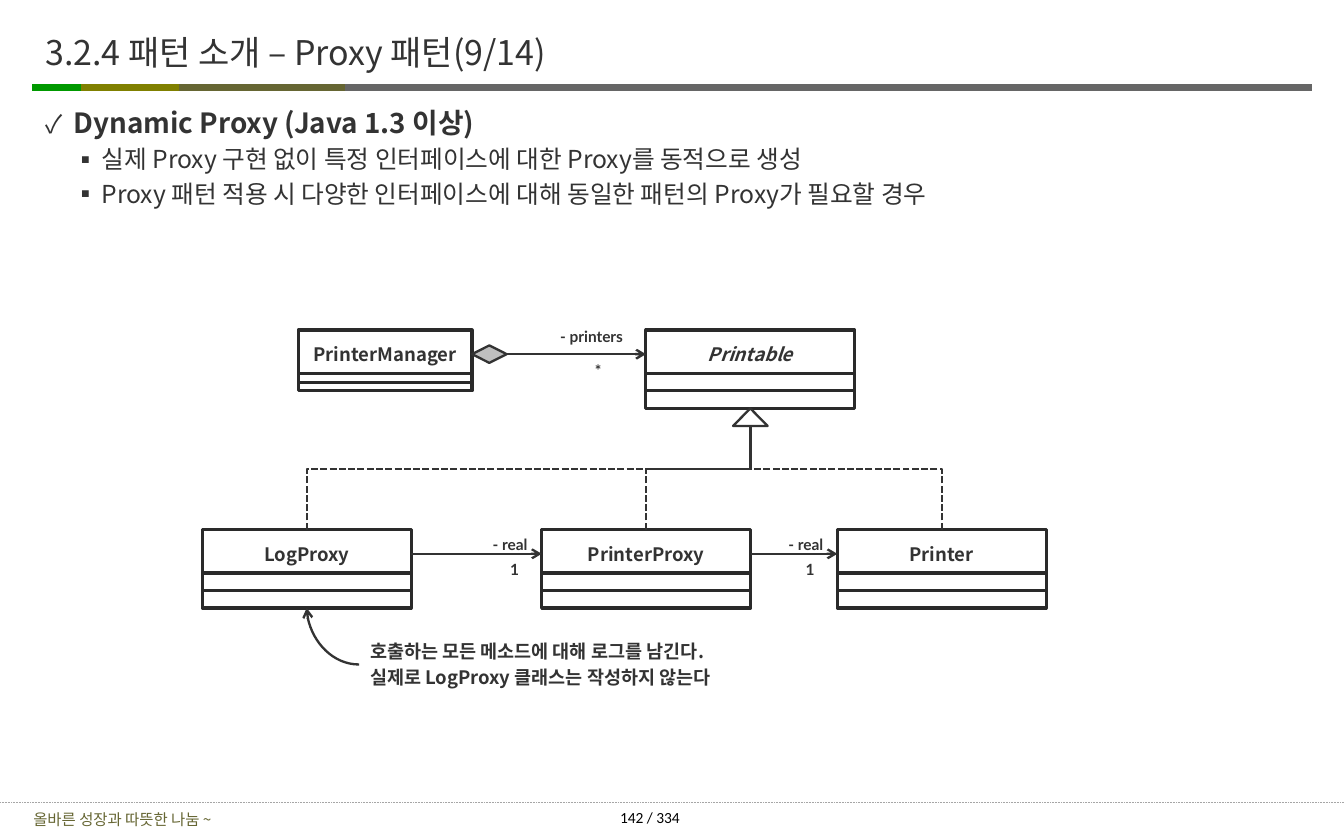
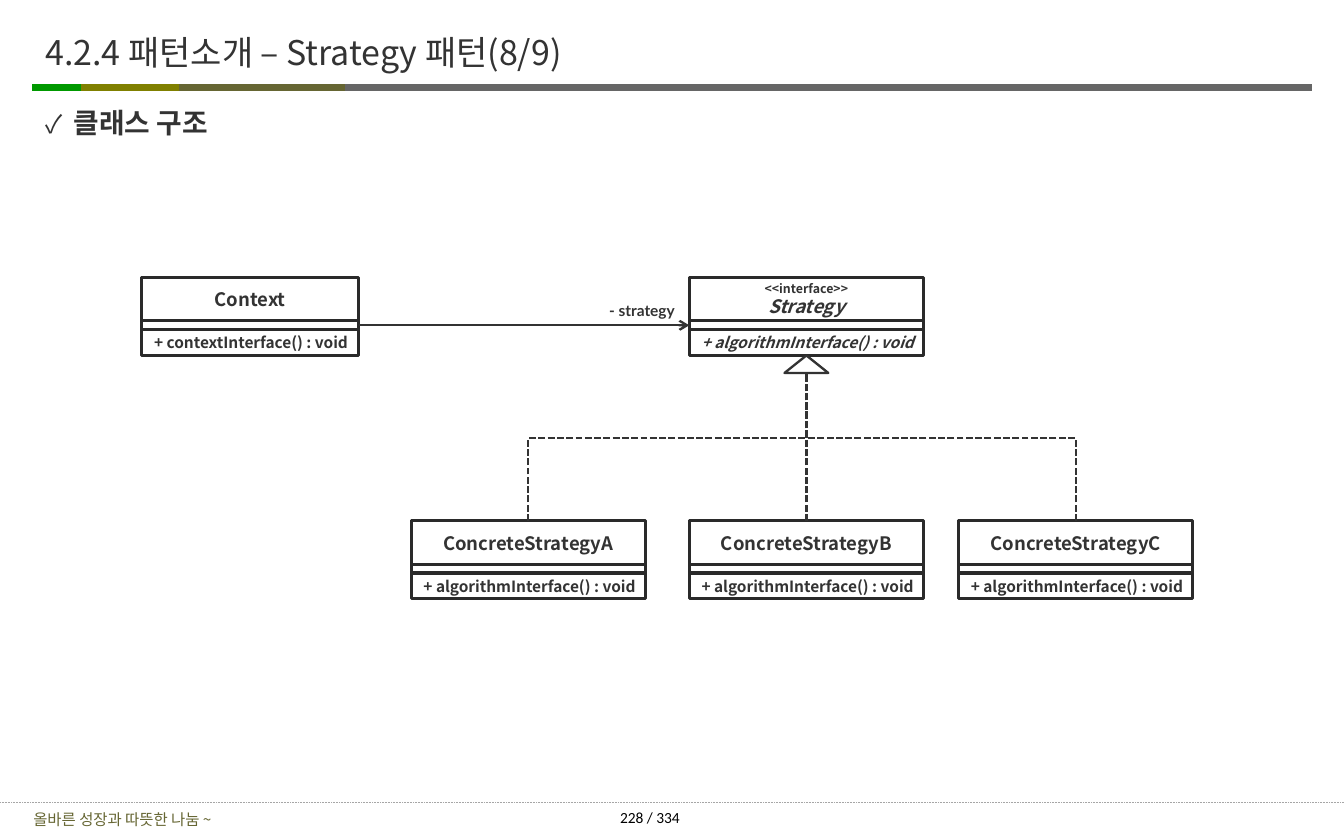
from dataclasses import dataclass
from lxml import etree
from pptx import Presentation
from pptx.dml.color import RGBColor
from pptx.enum.dml import MSO_LINE_DASH_STYLE
from pptx.enum.shapes import MSO_CONNECTOR_TYPE, MSO_SHAPE
from pptx.enum.text import MSO_ANCHOR, PP_ALIGN
from pptx.oxml.ns import qn
from pptx.util import Cm, Pt

STRAIGHT, ELBOW, CURVE = MSO_CONNECTOR_TYPE.STRAIGHT, MSO_CONNECTOR_TYPE.ELBOW, MSO_CONNECTOR_TYPE.CURVE
RECTANGLE, DIAMOND, TRIANGLE = MSO_SHAPE.RECTANGLE, MSO_SHAPE.DIAMOND, MSO_SHAPE.ISOSCELES_TRIANGLE
DASH, DOT = MSO_LINE_DASH_STYLE.SQUARE_DOT, MSO_LINE_DASH_STYLE.ROUND_DOT
LEFT, CENTER = PP_ALIGN.LEFT, PP_ALIGN.CENTER
TOP, MIDDLE = MSO_ANCHOR.TOP, MSO_ANCHOR.MIDDLE

WHITE = RGBColor(0xFF, 0xFF, 0xFF)
BLACK = RGBColor(0, 0, 0)
INK = RGBColor(0x33, 0x33, 0x33)
OUTLINE = RGBColor(0x2A, 0x2A, 0x2A)
GRAY = RGBColor(0x66, 0x66, 0x66)
PALE_GRAY = RGBColor(0xA6, 0xA6, 0xA6)
DIAMOND_GRAY = RGBColor(0xBF, 0xBF, 0xBF)
GREEN = RGBColor(0, 0x99, 0)
OLIVE = RGBColor(0x80, 0x80, 0)
DARK_OLIVE = RGBColor(0x66, 0x66, 0x33)

SANS, LABEL_FONT, NUMBER_FONT = "Noto Sans CJK KR", "Lato", "Calibri"
PAGE_WIDTH, PAGE_HEIGHT = 30.69, 19.05
PAGE_COUNT = 334
NAME_ROW = 0.99  # distance from the top of a class to its second row
MARK_HEIGHT = 0.4


@dataclass
class Box:
    left: float
    top: float
    width: float
    height: float

    @property
    def right(self):
        return self.left + self.width

    @property
    def bottom(self):
        return self.top + self.height

    @property
    def center(self):
        return self.left + self.width / 2


# Basic parts
def set_font(font, size, color=INK, name=SANS, bold=False, italic=False):
    font.size, font.name, font.bold, font.italic = Pt(size), name, bold, italic
    font.color.rgb = color
    etree.SubElement(font._element, qn("a:ea"), typeface=name)


def set_frame(frame, inset_x, inset_y, anchor, wrap):
    frame.margin_left = frame.margin_right = Cm(inset_x)
    frame.margin_top = frame.margin_bottom = Cm(inset_y)
    frame.vertical_anchor = anchor
    frame.word_wrap = wrap


def add_text(page, box, lines, size, align=LEFT, anchor=TOP, wrap=True, inset=0.25, **style):
    shape = page.shapes.add_textbox(Cm(box.left), Cm(box.top), Cm(box.width), Cm(box.height))
    frame = shape.text_frame
    set_frame(frame, inset, min(inset, 0.13), anchor, wrap)
    for index, line in enumerate(lines):
        para = frame.paragraphs[0] if index == 0 else frame.add_paragraph()
        para.text, para.alignment = line, align
        if index:
            para.space_before = Pt(0.2 * size)
        set_font(para.font, size, **style)


def add_shape(page, kind, box, fill=WHITE, line=OUTLINE, weight=2):
    shape = page.shapes.add_shape(kind, Cm(box.left), Cm(box.top), Cm(box.width), Cm(box.height))
    shape.shadow.inherit = False
    shape.fill.solid()
    shape.fill.fore_color.rgb = fill
    shape.line.color.rgb = line
    shape.line.width = Pt(weight)
    return shape


def add_line(page, start, end, kind=STRAIGHT, color=INK, weight=1.5, dash=None, arrow=False):
    line = page.shapes.add_connector(kind, *(Cm(value) for value in (*start, *end)))
    line.line.color.rgb = color
    line.line.width = Pt(weight)
    if dash:
        line.line.dash_style = dash
    properties = line._element.spPr
    if arrow:
        etree.SubElement(properties.find(qn("a:ln")), qn("a:tailEnd"), type="arrow")
    etree.SubElement(properties, qn("a:effectLst"))
    return properties


# Slide frame: title, colour band, footer
def add_frame(page, title, number):
    stops = [0.74, 1.85, 4.09, 7.87, 29.95]
    for start, end, color in zip(stops, stops[1:], (GREEN, OLIVE, DARK_OLIVE, GRAY)):
        add_line(page, (start, 2), (end, 2), color=color, weight=5)
    add_line(page, (0, 18.33), (PAGE_WIDTH, 18.33), color=PALE_GRAY, weight=0.5, dash=DOT)
    add_text(page, Box(0, 18.38, 5.59, 0.66), ["올바른 성장과 따뜻한 나눔 ~"], 10, CENTER, MIDDLE,
             color=DARK_OLIVE)
    add_text(page, Box(13.28, 18.33, 3.12, 0.69), [f"{number} / {PAGE_COUNT}"], 10, CENTER,
             color=BLACK, name=NUMBER_FONT)
    add_text(page, Box(0.94, 0.38, 25.4, 1.6), [title], 22, anchor=MIDDLE, inset=0.1)


# Bulleted text: a heading and its points
def add_bullet(para, char, level, percent):
    properties = para._p.get_or_add_pPr()
    properties.set("marL", str(Cm(0.64 * (level + 1))))
    properties.set("indent", str(-Cm(0.64)))
    color = etree.SubElement(properties, qn("a:buClr"))
    etree.SubElement(color, qn("a:srgbClr"), val=str(INK))
    etree.SubElement(properties, qn("a:buSzPct"), val=str(percent * 1000))
    etree.SubElement(properties, qn("a:buFont"), typeface=SANS)
    etree.SubElement(properties, qn("a:buChar"), char=char)


def add_outline(page, box, heading, points=()):
    shape = page.shapes.add_textbox(Cm(box.left), Cm(box.top), Cm(box.width), Cm(box.height))
    frame = shape.text_frame
    set_frame(frame, 0.1, 0.1, TOP, True)
    para = frame.paragraphs[0]
    para.text = heading
    add_bullet(para, "✓", 0, 90)
    set_font(para.font, 18, bold=True)
    for point in points:
        para = frame.add_paragraph()
        para.text, para.level, para.space_before = point, 1, Pt(3.2)
        add_bullet(para, "▪", 1, 100)
        set_font(para.font, 16)


# Class diagram parts
def add_class(page, left, top, width, name, rows, method="", name_height=NAME_ROW,
              stereotype="", abstract=False):
    """Draws a name row, then the attribute and method rows; returns the whole box."""
    def fill_row(row, align):
        set_frame(row.text_frame, 0.28, 0.13, MIDDLE, False)
        para = row.text_frame.paragraphs[0]
        para.alignment = align
        return para

    shape = add_shape(page, RECTANGLE, Box(left, top, width, name_height))
    para = fill_row(shape, CENTER)
    if stereotype:
        span = para.add_run()
        span.text = stereotype
        set_font(span.font, 8, bold=True)
        para.add_line_break()
        span = para.add_run()
        span.text = name
        set_font(span.font, 12, bold=True, italic=abstract)
    else:
        para.text = name
        set_font(para.font, 12, bold=True, italic=abstract)
    bottom = top + NAME_ROW
    for height in rows:
        shape = add_shape(page, RECTANGLE, Box(left, bottom, width, height))
        bottom += height
    if method:
        para = fill_row(shape, LEFT)
        para.text = method
        set_font(para.font, 10, bold=True, italic=abstract)
    return Box(left, top, width, bottom - top)


def add_inheritance(page, parent, children, mark_width):
    for child in children:
        # An elbow that leaves vertically is a horizontal one turned by 90 degrees
        x, y = (child.center + parent.center) / 2, (child.top + parent.bottom) / 2
        across, down = child.center - x, child.top - y
        properties = add_line(page, (x + down, y - across), (x - down, y + across), ELBOW, dash=DASH)
        properties.find(qn("a:xfrm")).set("rot", str(90 * 60000))
    mark = Box(parent.center - mark_width / 2, parent.bottom, mark_width, MARK_HEIGHT)
    add_shape(page, TRIANGLE, mark, line=INK, weight=1.5)


def add_label(page, center, top, text):
    add_text(page, Box(center - 1.1, top, 2.2, 0.69), [text], 10, CENTER, wrap=False,
             name=LABEL_FONT, bold=True)


def add_proxy_diagram(page, left, top):
    def proxy_class(x, y, name, width=4.77, row=0.4, **style):
        return add_class(page, left + x, top + y, width, name, (row, row), name_height=1.11, **style)

    printable = proxy_class(10.13, 0, "Printable", abstract=True)
    manager = proxy_class(2.19, 0, "PrinterManager", width=3.97, row=0.2)
    children = [proxy_class(x, 4.56, name)
                for x, name in ((0, "LogProxy"), (7.75, "PrinterProxy"), (14.5, "Printer"))]
    add_inheritance(page, printable, children, 0.79)

    # Associations run at the middle of the name row
    links = [(manager, printable, "- printers", "*", 0.75, 1.24, 1.09),
             *((source, target, "- real", "1", 0.56, 0.72, 0.62)
               for source, target in zip(children, children[1:]))]
    for source, target, role, count, rise, role_gap, count_gap in links:
        y = source.top + 0.55
        add_line(page, (source.right, y), (target.left, y), arrow=True)
        add_label(page, target.left - role_gap, y - rise, role)
        add_label(page, target.left - count_gap, y + 0.02, count)
    add_shape(page, DIAMOND, Box(manager.right, top + 0.35, 0.79, MARK_HEIGHT),
              fill=DIAMOND_GRAY, line=INK, weight=1.5)

    # Note on LogProxy
    note = Box(left + 3.58, top + 6.94, 8.33, 1.4)
    add_text(page, note, ["호출하는 모든 메소드에 대해 로그를 남긴다.", "실제로 LogProxy 클래스는 작성하지 않는다"],
             12, bold=True)
    log_proxy = children[0]
    properties = add_line(page, (note.left, note.top + 0.7), (log_proxy.center, log_proxy.bottom),
                          CURVE, arrow=True)
    properties.find(qn("a:prstGeom")).set("prst", "curvedConnector2")


def add_strategy_diagram(page, left, top):
    rows = (0.2, 0.59)
    method = "+ algorithmInterface() : void"
    context = add_class(page, left, top, 4.95, "Context", rows, "+ contextInterface() : void")
    strategy = add_class(page, left + 12.5, top, 5.35, "Strategy", rows, method,
                         stereotype="<<interface>>", abstract=True)
    children = [add_class(page, left + x, top + 5.56, 5.35, f"ConcreteStrategy{letter}", rows, method)
                for x, letter in ((6.15, "A"), (12.5, "B"), (18.65, "C"))]
    add_inheritance(page, strategy, children, 1)
    y = top + NAME_ROW + rows[0] / 2
    add_line(page, (context.right, y), (strategy.left, y), arrow=True)
    add_label(page, strategy.left - 1.08, y - 0.69, "- strategy")


def main():
    deck = Presentation()
    deck.slide_width, deck.slide_height = Cm(PAGE_WIDTH), Cm(PAGE_HEIGHT)
    blank = deck.slide_layouts[6]
    body = Box(0.94, 2.31, 29.21, 3.12)

    page = deck.slides.add_slide(blank)
    add_frame(page, "3.2.4 패턴 소개 – Proxy 패턴(9/14)", 142)
    add_outline(page, body, "Dynamic Proxy (Java 1.3 이상)", [
        "실제 Proxy 구현 없이 특정 인터페이스에 대한 Proxy를 동적으로 생성",
        "Proxy 패턴 적용 시 다양한 인터페이스에 대해 동일한 패턴의 Proxy가 필요할 경우",
    ])
    add_proxy_diagram(page, 4.62, 7.54)

    page = deck.slides.add_slide(blank)
    add_frame(page, "4.2.4 패턴소개 – Strategy 패턴(8/9)", 228)
    add_outline(page, body, "클래스 구조")
    add_strategy_diagram(page, 3.24, 6.34)

    deck.save("out.pptx")


if __name__ == "__main__":
    main()
